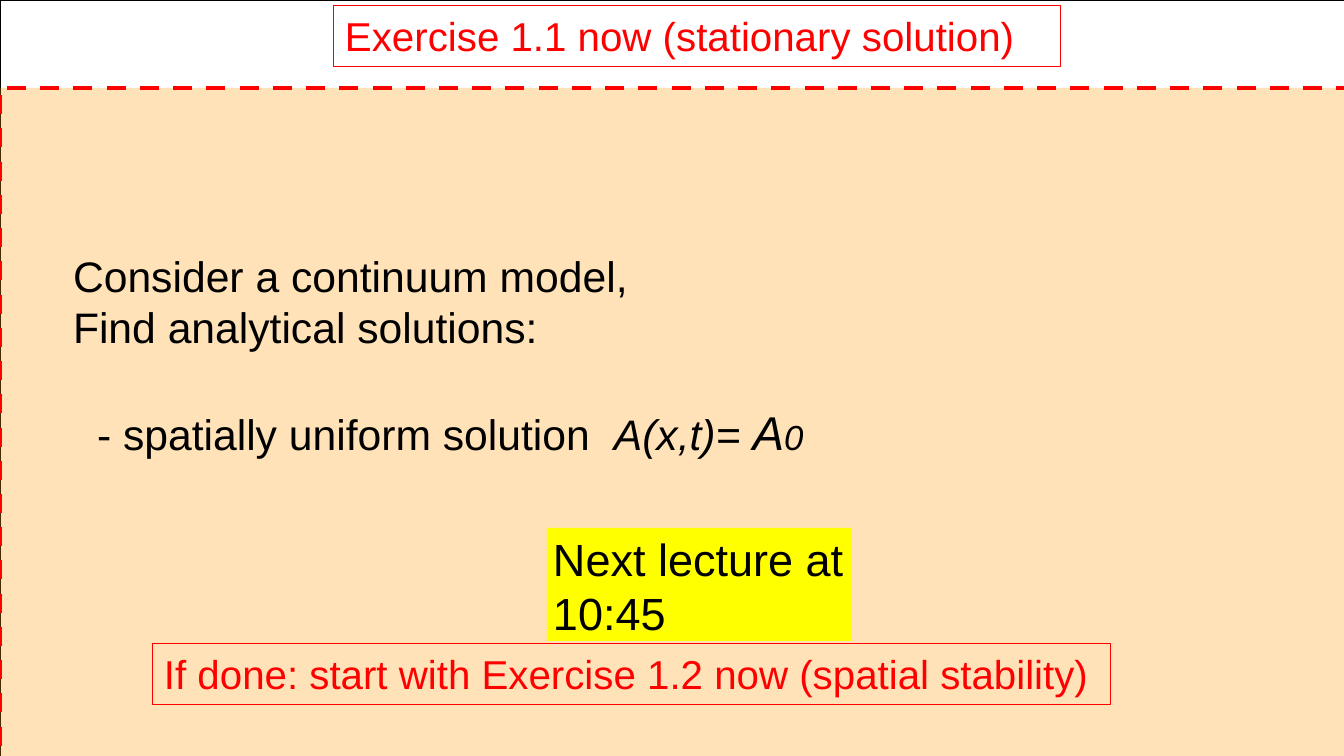
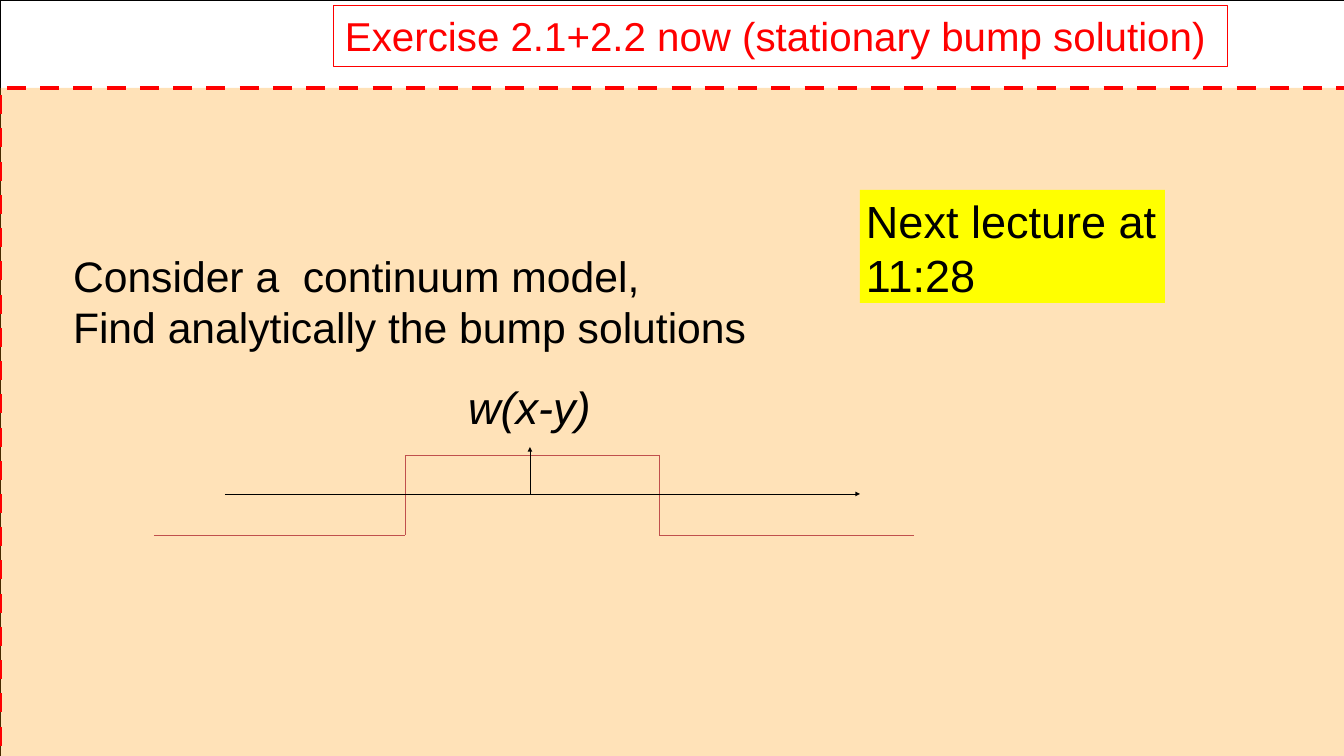
import pptx
import pptx.util
import pptx.dml.color
import pptx.enum.dml
import pptx.enum.shapes
import pptx.enum.text
import pptx.oxml.ns
import pptx.oxml.xmlchemy

RGB = pptx.dml.color.RGBColor
BLACK = RGB(0, 0, 0)
RED = RGB(255, 0, 0)
ORANGE = RGB(255, 153, 0)
YELLOW = RGB(255, 255, 0)
BRICK = RGB(192, 80, 77)

SCALE = 16076
WIDE, HIGH = 1344, 756
FONT = "Arial"
THIN = 0.75


def px(*nums):
    return [pptx.util.Emu(num * SCALE) for num in nums]


def tag(parent, name, **attrs):
    node = pptx.oxml.xmlchemy.OxmlElement(name)
    for key, value in attrs.items():
        node.set(key, value)
    parent.append(node)


def outline(shape, color, width=THIN):
    shape.line.color.rgb = color
    shape.line.width = pptx.util.Pt(width)


def style(font, size, color=BLACK, italic=None):
    font.name = FONT
    font.size = pptx.util.Pt(size)
    font.color.rgb = color
    font.italic = italic


def place(shape, area, pad=(6, 3)):
    shape.left, shape.top, shape.width, shape.height = px(*area)
    frame = shape.text_frame
    frame.word_wrap = True
    frame.auto_size = pptx.enum.text.MSO_AUTO_SIZE.NONE
    frame.vertical_anchor = pptx.enum.text.MSO_ANCHOR.TOP
    frame.margin_left, frame.margin_top = px(*pad)
    frame.margin_right, frame.margin_bottom = px(*pad)


def write(shape, lines, size, color=BLACK, italic=None):
    frame = shape.text_frame
    frame.text = "\n".join(lines)
    for para in frame.paragraphs:
        props = para._p.get_or_add_pPr()
        props.set("marL", "0")
        props.set("indent", "0")
        tag(props, "a:buNone")
        para.alignment = pptx.enum.text.PP_ALIGN.LEFT
        para.space_before = pptx.util.Pt(0)
        style(para.font, size, color, italic)


def label(slide, area, lines, size, pad=(6, 3), **look):
    box = slide.shapes.add_textbox(0, 0, 0, 0)
    place(box, area, pad)
    write(box, lines, size, **look)
    return box


def panel(slide, area, color, width):
    kind = pptx.enum.shapes.MSO_SHAPE.RECTANGLE
    rect = slide.shapes.add_shape(kind, *px(*area))
    rect.shadow.inherit = False
    rect.fill.background()
    outline(rect, color, width)
    slide.shapes._spTree.insert(2, rect._element)
    return rect


def stroke(slide, start, end, color, arrow=False):
    kind = pptx.enum.shapes.MSO_CONNECTOR.STRAIGHT
    line = slide.shapes.add_connector(kind, *px(*start, *end))
    outline(line, color)
    if arrow:
        tag(line.line._get_or_add_ln(), "a:tailEnd", type="triangle")
    tag(line._element.spPr, "a:effectLst")


def notice(slide, left, top, time):
    box = label(slide, (left, top, 305, 113), ["Next lecture at", time], 57)
    box.fill.solid()
    box.fill.fore_color.rgb = YELLOW


def base(deck, title, width, lines, size):
    slide = deck.slides.add_slide(deck.slide_layouts[1])
    band = panel(slide, (0, 88, 1351, 680), RED, 6)
    band.line.dash_style = pptx.enum.dml.MSO_LINE.DASH
    band.fill.solid()
    band.fill.fore_color.rgb = ORANGE
    paint = band._element.spPr.find(".//" + pptx.oxml.ns.qn("a:srgbClr"))
    tag(paint, "a:alpha", val="28000")
    panel(slide, (0, 0, WIDE, HIGH), BLACK, THIN)
    head, body = slide.placeholders
    place(head, (333, 5, width, 61), (12, 6))
    write(head, [title], 51, RED)
    outline(head, RED)
    place(body, (67, 247, *size))
    write(body, lines, 54)
    return slide, body


def uniform(deck):
    lines = ["Consider a continuum model,", "Find analytical solutions:",
             "- spatially uniform solution  "]
    slide, body = base(deck, "Exercise 1.1 now (stationary solution)", 727,
                       lines, (753, 218))
    last = body.text_frame.paragraphs[-1]
    last._p.get_or_add_pPr().set("marL", str(24 * SCALE))
    last.space_before = pptx.util.Pt(64)
    for text, size in (("A(x,t)= ", 54), ("A", 60), ("0", 44)):
        run = last.add_run()
        run.text = text
        style(run.font, size, italic=True)
    notice(slide, 547, 528, "10:45")
    hint = "If done: start with Exercise 1.2 now (spatial stability)"
    box = label(slide, (152, 643, 958, 61), [hint], 51, (12, 6), color=RED)
    outline(box, RED)


def bump(deck):
    lines = ["Consider a  continuum model,",
             "Find analytically the bump solutions"]
    slide, body = base(deck, "Exercise 2.1+2.2 now (stationary bump solution)",
                       894, lines, (711, 109))
    low, high = 535, 455
    curve = [(154, low), (405, low), (405, high),
             (659, high), (659, low), (914, low)]
    for start, end in zip(curve, curve[1:]):
        stroke(slide, start, end, BRICK)
    stroke(slide, (225, 494), (860, 494), BLACK, True)
    stroke(slide, (530, 494), (530, 447), BLACK, True)
    label(slide, (456, 373, 160, 67), ["w(x-y)"], 57, (12, 6), italic=True)
    notice(slide, 860, 190, "11:28")


def main():
    deck = pptx.Presentation()
    deck.slide_width, deck.slide_height = px(WIDE, HIGH)
    uniform(deck)
    bump(deck)
    deck.save("out.pptx")


if __name__ == "__main__":
    main()
